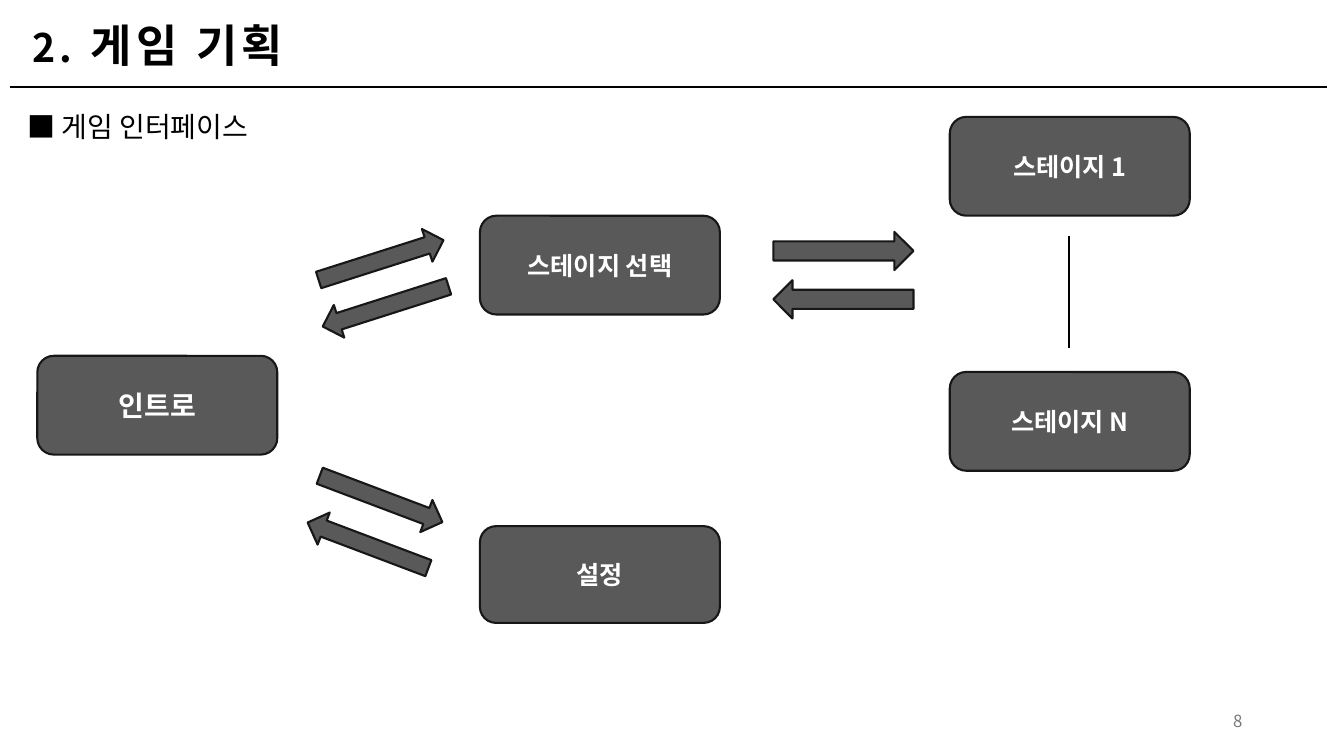
"""Build the game interface flow slide."""
from lxml.etree import SubElement
from pptx import Presentation
from pptx.dml.color import RGBColor
from pptx.enum.shapes import MSO_CONNECTOR, MSO_SHAPE as Shape
from pptx.enum.text import MSO_ANCHOR as Anchor, MSO_AUTO_SIZE as AutoSize, PP_ALIGN as Align
from pptx.oxml.ns import qn
from pptx.util import Inches, Pt

FONT = "Noto Sans CJK KR"


def color(value):
    return RGBColor.from_string(value)


def write(para, text, size=18, ink="000000", bold=False, align=Align.LEFT, spacing=0):
    para.alignment = align
    span = para.add_run()
    span.text = text
    span.font.name = FONT
    span.font.size = Pt(size)
    span.font.bold = bold
    span.font.color.rgb = color(ink)
    props = span.font._element
    SubElement(props, qn("a:ea")).set("typeface", FONT)
    if spacing:
        props.set("spc", str(spacing * 100))


deck = Presentation()
deck.slide_width = Inches(13.33)
deck.slide_height = Inches(7.5)
page = deck.slides.add_slide(deck.slide_layouts[5])

title = page.shapes.title
title.left, title.top = Inches(0.22), Inches(0.17)
title.width, title.height = Inches(11.5), Inches(0.62)
title.text_frame.auto_size = AutoSize.NONE
title.text_frame.vertical_anchor = Anchor.MIDDLE
heading = title.text_frame.paragraphs[0]
heading.line_spacing = 0.9
for text, size in [("2.", 28), (" 게임 기획", 32)]:
    write(heading, text, size=size, bold=True, spacing=3)

labels = [
    ("■ 게임 인터페이스", 0.17, 1.04, 6.32, 0.77, Anchor.TOP, {"size": 20}),
    ("8", 9.42, 6.95, 3, 0.4, Anchor.MIDDLE,
     {"size": 12, "ink": "797979", "align": Align.RIGHT}),
]
for text, left, top, width, height, anchor, style in labels:
    label = page.shapes.add_textbox(Inches(left), Inches(top), Inches(width), Inches(height))
    label.text_frame.word_wrap = True
    label.text_frame.vertical_anchor = anchor
    write(label.text_frame.paragraphs[0], text, **style)

for x1, y1, x2, y2 in [(0.1, 0.86, 13.16, 0.86), (10.6, 2.34, 10.6, 3.45)]:
    rule = page.shapes.add_connector(
        MSO_CONNECTOR.STRAIGHT, Inches(x1), Inches(y1), Inches(x2), Inches(y2))
    rule.line.color.rgb = color("000000")
    rule.line.width = Pt(1.5)
    SubElement(rule._element.spPr, qn("a:effectLst"))

screens = [
    ("인트로", 0.37, 3.53, 0.98, 20),
    ("스테이지 선택", 4.76, 2.14, 0.98, 18),
    ("설정", 4.76, 5.22, 0.96, 18),
    ("스테이지 1", 9.42, 1.16, 0.98, 18),
    ("스테이지 N", 9.42, 3.69, 0.98, 18),
]
nodes = []
for text, left, top, height, size in screens:
    box = page.shapes.add_shape(
        Shape.ROUNDED_RECTANGLE, Inches(left), Inches(top), Inches(2.38), Inches(height))
    box.text_frame.word_wrap = True
    box.text_frame.vertical_anchor = Anchor.MIDDLE
    write(box.text_frame.paragraphs[0], text, size=size, ink="FFFFFF", bold=True,
          align=Align.CENTER)
    nodes.append(box)

arrows = [
    (Shape.RIGHT_ARROW, 3.13, 2.41, 1.3, 0.34, 342.3),
    (Shape.LEFT_ARROW, 3.17, 2.87, 1.31, 0.34, 342.3),
    (Shape.RIGHT_ARROW, 3.13, 4.78, 1.3, 0.34, 20.7),
    (Shape.LEFT_ARROW, 3.01, 5.24, 1.28, 0.34, 20.7),
    (Shape.RIGHT_ARROW, 7.67, 2.3, 1.39, 0.38, 0),
    (Shape.LEFT_ARROW, 7.67, 2.78, 1.39, 0.38, 0),
]
for kind, left, top, width, height, angle in arrows:
    arrow = page.shapes.add_shape(
        kind, Inches(left), Inches(top), Inches(width), Inches(height))
    arrow.rotation = angle
    nodes.append(arrow)

for node in nodes:
    node.shadow.inherit = False
    node.fill.solid()
    node.fill.fore_color.rgb = color("595959")
    node.line.color.rgb = color("171717")
    node.line.width = Pt(1.5)

deck.save("out.pptx")
